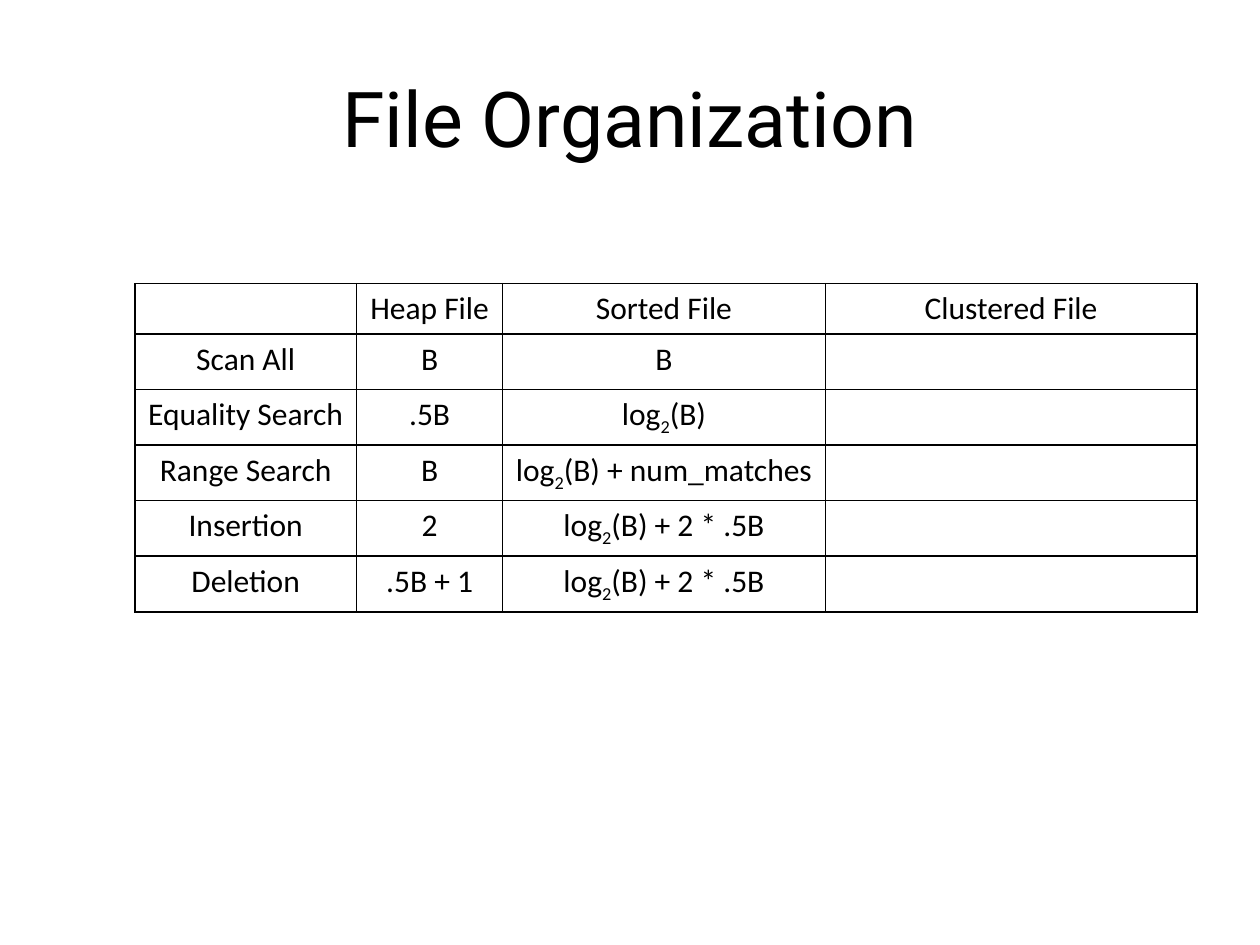
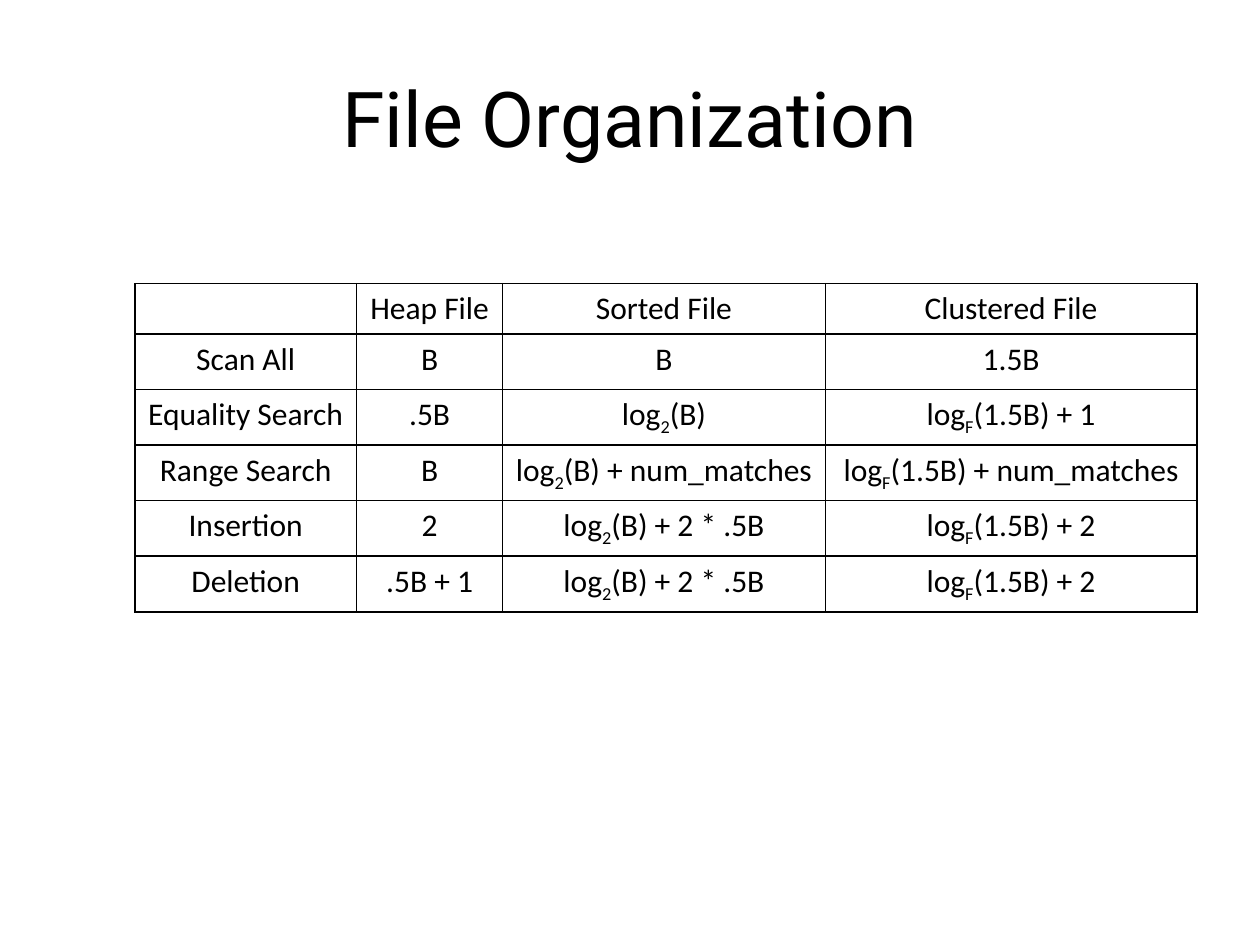
from lxml.etree import SubElement as Sub
from pptx import Presentation
from pptx.dml.color import RGBColor
from pptx.enum.text import MSO_ANCHOR as Anchor, PP_ALIGN as Align
from pptx.oxml.ns import qn
from pptx.util import Inches, Pt

WIDTH, HEIGHT = 10, 7.5
INK = "000000"
TITLE_FORMAT = {"name": "Roboto", "size": Pt(44)}
CELL_FORMAT = {"name": "Calibri", "size": Pt(18)}
COLUMN_WIDTHS = [1.76, 1.16, 2.56, 2.95]
HEADER_HEIGHT, ROW_HEIGHT = 0.4, 0.44

# A subscript stands between two tildes.
HEADINGS = ["", "Heap File", "Sorted File", "Clustered File"]
COSTS = [
    ["Scan All", "B", "B", "1.5B"],
    ["Equality Search", ".5B", "log~2~(B)", "log~F~(1.5B) + 1"],
    ["Range Search", "B", "log~2~(B) + num_matches", "log~F~(1.5B) + num_matches"],
    ["Insertion", "2", "log~2~(B) + 2 * .5B", "log~F~(1.5B) + 2"],
    ["Deletion", ".5B + 1", "log~2~(B) + 2 * .5B", "log~F~(1.5B) + 2"],
]


def colour(code):
    """Turn a hex string into a colour."""
    return RGBColor.from_string(code)


def share(left, top, width, height):
    """Turn shares of the slide's size into lengths."""
    return [Inches(part * whole) for part, whole in
            zip((left, top, width, height), (WIDTH, HEIGHT) * 2)]


class SlideBuilder:
    """Holds the deck, its style and the current page."""

    def __init__(self):
        """Start an empty deck."""
        self.deck = Presentation()
        self.deck.slide_width = Inches(WIDTH)
        self.deck.slide_height = Inches(HEIGHT)
        self.page = None

    def add_page(self):
        """Start a new blank page."""
        self.page = self.deck.slides.add_slide(self.deck.slide_layouts[6])

    def add_text(self, para, text, font_format):
        """Set centred text, with the parts between tildes as subscripts."""
        para.alignment = Align.CENTER
        for index, part in enumerate(text.split("~")):
            if not part:
                continue
            span = para.add_run()
            span.text = part
            for name, value in font_format.items():
                setattr(span.font, name, value)
            span.font.color.rgb = colour(INK)
            if index % 2:
                span.font._element.set("baseline", "-25000")

    def add_title(self, text):
        """Add the page title."""
        box = self.page.shapes.add_textbox(*share(0.05, 0.04, 0.9, 1 / 6))
        frame = box.text_frame
        for name, value in {"word_wrap": True,
                            "vertical_anchor": Anchor.MIDDLE}.items():
            setattr(frame, name, value)
        self.add_text(frame.paragraphs[0], text, TITLE_FORMAT)

    def add_border(self, cell):
        """Draw a thin line on every side of a cell."""
        properties = cell._tc.get_or_add_tcPr()
        for side in ("lnL", "lnR", "lnT", "lnB"):
            line = Sub(properties, qn(f"a:{side}"), w=str(Pt(1)))
            fill = Sub(line, qn("a:solidFill"))
            Sub(fill, qn("a:srgbClr"), val=INK)

    def add_table(self, rows):
        """Add a bordered table without fills."""
        height = HEADER_HEIGHT + ROW_HEIGHT * (len(rows) - 1)
        area = share(0.107, 0.3, sum(COLUMN_WIDTHS) / WIDTH, height / HEIGHT)
        table = self.page.shapes.add_table(
            len(rows), len(COLUMN_WIDTHS), *area).table
        for name in ("first_row", "horz_banding"):
            setattr(table, name, False)
        for column, width in zip(table.columns, COLUMN_WIDTHS):
            column.width = Inches(width)
        for index, (row, texts) in enumerate(zip(table.rows, rows)):
            row.height = Inches(ROW_HEIGHT if index else HEADER_HEIGHT)
            for cell, text in zip(row.cells, texts):
                self.add_border(cell)
                cell.fill.background()
                self.add_text(cell.text_frame.paragraphs[0], text, CELL_FORMAT)


def main():
    """Build the page with the open column, then the one with it filled in."""
    builder = SlideBuilder()
    open_costs = [row[:-1] + [""] for row in COSTS]
    for costs in (open_costs, COSTS):
        builder.add_page()
        builder.add_title("File Organization")
        builder.add_table([HEADINGS] + costs)
    builder.deck.save("out.pptx")


main()
